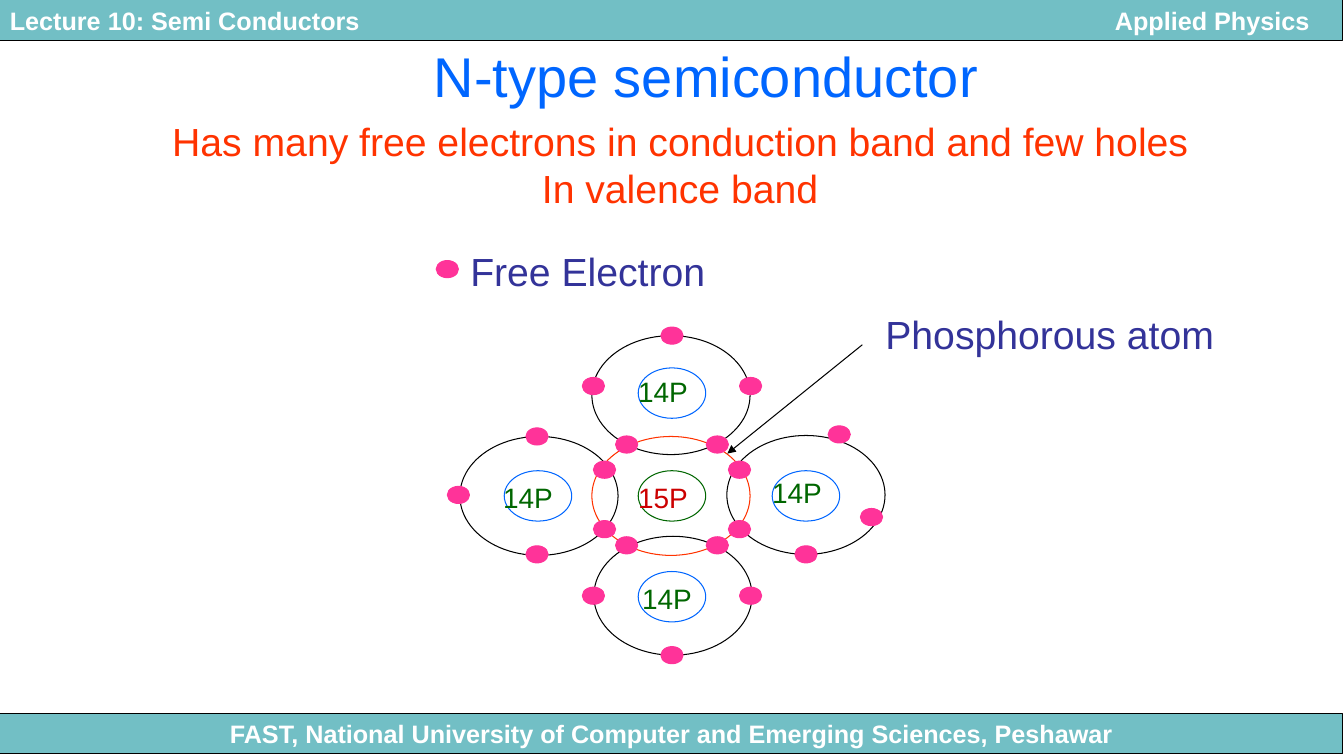
from dataclasses import dataclass

from lxml.etree import SubElement
from pptx import Presentation
from pptx.dml.color import RGBColor
from pptx.enum.shapes import MSO_CONNECTOR, MSO_SHAPE
from pptx.enum.text import MSO_ANCHOR, MSO_AUTO_SIZE, PP_ALIGN
from pptx.oxml.ns import qn
from pptx.util import Inches, Pt


@dataclass(frozen=True)
class Theme:
    font: str = "Arial"
    band: str = "72BFC5"
    white: str = "FFFFFF"
    black: str = "000000"
    blue: str = "0066FF"
    red: str = "FF3300"
    dark_red: str = "CC0000"
    green: str = "006600"
    pink: str = "FF3399"
    indigo: str = "333399"
    title: int = 40
    body: int = 28
    atom: int = 20
    bar: int = 18
    line: float = 0.75


T = Theme()
RING = (1.57, 1.18)
NUCLEUS = (0.67, 0.5)
ELECTRON = (0.22, 0.17)
LABEL = (0.73, 0.44)

# Offsets from the lattice centre: ring, nucleus, label, name, ring/nucleus/label colours
ATOMS = [
    ((-0.01, 0), (0, 0), (-0.07, 0.02), "15P", T.red, T.green, T.dark_red),
    ((-0.01, -1), (0, -1.02), (-0.07, -1.03), "14P", T.black, T.blue, T.green),
    ((1.33, -0.01), (1.33, 0), (1.26, -0.03), "14P", T.black, T.blue, T.green),
    ((-1.32, 0), (-1.33, 0), (-1.41, 0.02), "14P", T.black, T.blue, T.green),
    ((0.01, 0.99), (0, 1), (-0.03, 1.02), "14P", T.black, T.blue, T.green),
]
# Electrons mirrored about the vertical axis, then the single ones
PAIRS = [(0.45, -0.51), (0.45, 0.49), (0.67, -0.26), (0.67, 0.33),
         (0.78, -1.09), (0.78, 0.99)]
SINGLES = [(0, -1.59), (0, 1.58), (-1.34, -0.59), (-1.34, 0.58), (-2.12, -0.01),
           (1.66, -0.61), (1.98, 0.21), (1.33, 0.58)]
ELECTRONS = [(side * dx, dy) for dx, dy in PAIRS for side in (-1, 1)] + SINGLES


def style(p, size, color, bold=False, align=PP_ALIGN.LEFT):
    p.alignment = align
    p.font.name, p.font.size, p.font.bold = T.font, Pt(size), bold
    p.font.color.rgb = RGBColor.from_string(color)


def add_shape(s, kind, x, y, w, h, line, fill=None):
    sp = s.shapes.add_shape(kind, Inches(x), Inches(y), Inches(w), Inches(h))
    sp.shadow.inherit = False
    if fill:
        sp.fill.solid()
        sp.fill.fore_color.rgb = RGBColor.from_string(fill)
    else:
        sp.fill.background()
    sp.line.color.rgb = RGBColor.from_string(line)
    sp.line.width = Pt(T.line)
    return sp


def add_ellipse(s, cx, cy, size, line, fill=None):
    w, h = size
    add_shape(s, MSO_SHAPE.OVAL, cx - w / 2, cy - h / 2, w, h, line, fill)


def add_text(s, x, y, w, h, lines, size, color, align=PP_ALIGN.LEFT):
    tf = s.shapes.add_textbox(Inches(x), Inches(y), Inches(w), Inches(h)).text_frame
    tf.word_wrap = False
    tf.auto_size = MSO_AUTO_SIZE.SHAPE_TO_FIT_TEXT
    tf.text = "\n".join(lines)
    for p in tf.paragraphs:
        style(p, size, color, align=align)


def add_bar(s, x, y, w, h, text, align, right_tab=None):
    sp = add_shape(s, MSO_SHAPE.RECTANGLE, x, y, w, h, T.black, T.band)
    tf = sp.text_frame
    tf.vertical_anchor = MSO_ANCHOR.MIDDLE
    tf.text = text
    p = tf.paragraphs[0]
    if right_tab:
        tabs = SubElement(p._p.get_or_add_pPr(), qn("a:tabLst"))
        SubElement(tabs, qn("a:tab"), pos=str(Inches(right_tab)), algn="r")
    style(p, T.bar, T.white, bold=True, align=align)


def add_title(s, x, y, w, h, text):
    sp = s.shapes.title
    sp.left, sp.top, sp.width, sp.height = Inches(x), Inches(y), Inches(w), Inches(h)
    tf = sp.text_frame
    tf.text = text
    tf.auto_size = MSO_AUTO_SIZE.NONE
    tf.vertical_anchor = MSO_ANCHOR.MIDDLE
    style(tf.paragraphs[0], T.title, T.blue, align=PP_ALIGN.CENTER)


def add_legend(s, x, y, w, h):
    add_ellipse(s, x + 0.11, y + 0.27, ELECTRON, T.pink, T.pink)
    add_text(s, x + 0.24, y, w - 0.24, h, ["Free Electron"], T.body, T.indigo)


def add_lattice(s, x, y, w, h):
    cx, cy = x + w / 2, y + h / 2
    # Electron shells
    for (dx, dy), _, _, _, color, _, _ in ATOMS:
        add_ellipse(s, cx + dx, cy + dy, RING, color)
    # Electrons
    for dx, dy in ELECTRONS:
        add_ellipse(s, cx + dx, cy + dy, ELECTRON, T.pink, T.pink)
    # Nuclei and their labels
    for _, (nx, ny), (lx, ly), name, _, color, text_color in ATOMS:
        add_ellipse(s, cx + nx, cy + ny, NUCLEUS, color)
        lw, lh = LABEL
        add_text(s, cx + lx - lw / 2, cy + ly - lh / 2, lw, lh, [name],
                 T.atom, text_color)


def add_callout(s, x, y, w, h):
    # Arrow from the label down to the phosphorous shell
    c = s.shapes.add_connector(MSO_CONNECTOR.STRAIGHT, Inches(x), Inches(y + h),
                               Inches(x + 1.34), Inches(y + 0.39))
    c.line.color.rgb = RGBColor.from_string(T.black)
    c.line.width = Pt(T.line)
    SubElement(c.line._get_or_add_ln(), qn("a:headEnd"), type="triangle")
    SubElement(c._element.spPr, qn("a:effectLst"))
    add_text(s, x + 1.47, y, w - 1.47, 0.57, ["Phosphorous atom"], T.body, T.indigo)


def main():
    prs = Presentation()
    prs.slide_width, prs.slide_height = Inches(13.34), Inches(7.5)
    s = prs.slides.add_slide(prs.slide_layouts[5])

    # Header and footer bars
    add_bar(s, 0, 0, 13.33, 0.4, "Lecture 10: Semi Conductors\tApplied Physics",
            PP_ALIGN.LEFT, right_tab=12.9)
    add_bar(s, 0, 7.08, 13.33, 0.4,
            "FAST, National University of Computer and Emerging Sciences, Peshawar",
            PP_ALIGN.CENTER)

    # Title and definition
    add_title(s, 2.1, 0.36, 9.81, 0.77, "N-type semiconductor")
    add_text(s, 1.61, 1.11, 10.28, 1.04,
             ["Has many free electrons in conduction band and few holes",
              "In valence band"], T.body, T.red, PP_ALIGN.CENTER)

    # Diagram
    add_legend(s, 4.33, 2.4, 2.77, 0.57)
    add_lattice(s, 4.44, 3.25, 4.46, 3.34)
    add_callout(s, 7.22, 3.03, 4.93, 1.47)

    prs.save("out.pptx")


if __name__ == "__main__":
    main()
